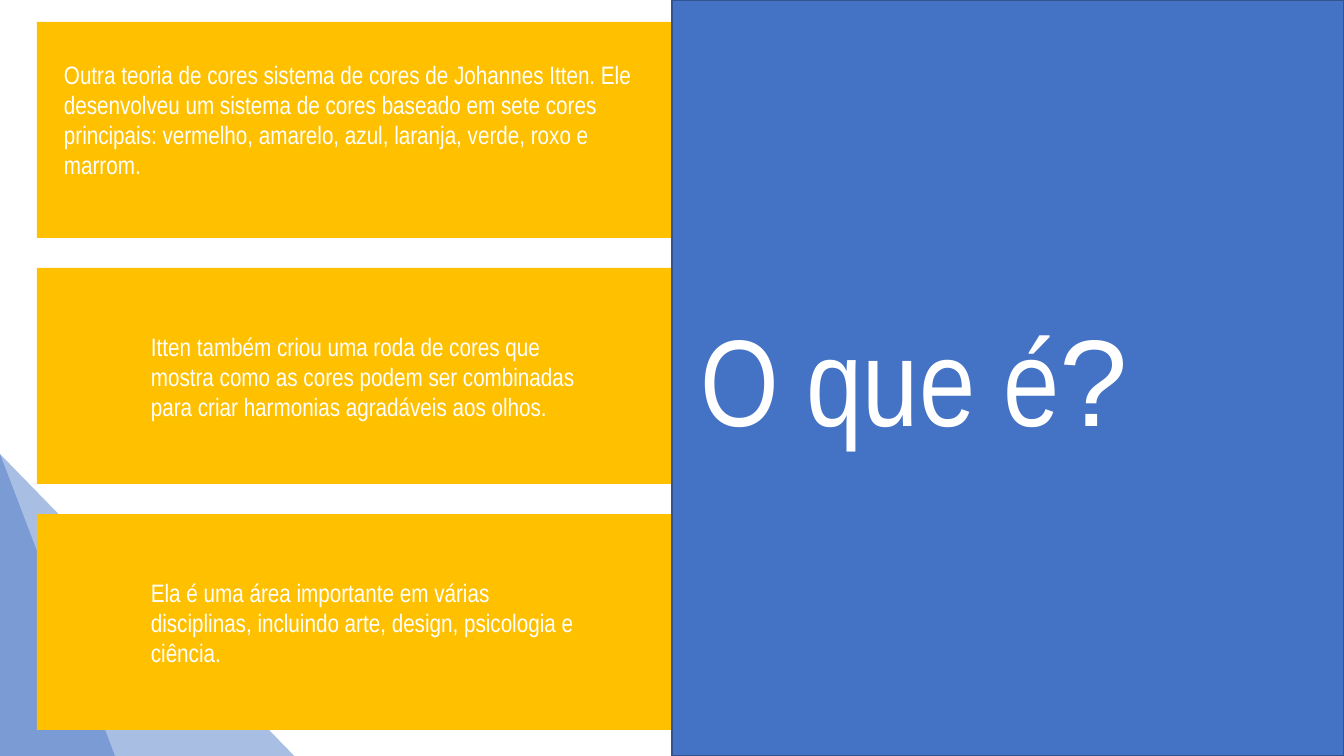
"""Build a slide on Itten's colour system with three text bars and a title panel."""
import dataclasses

import lxml.etree
import pptx
import pptx.dml.color
import pptx.enum.shapes
import pptx.enum.text
import pptx.oxml.ns
import pptx.util

KIND = pptx.enum.shapes.MSO_SHAPE
SCALE = 914400 / 100.8


@dataclasses.dataclass(frozen=True)
class Theme:
    """Colours, fonts and type sizes."""
    blue: str = "4472C4"
    edge: str = "325491"
    gold: str = "FFC000"
    white: str = "FFFFFF"
    narrow: str = "Arial Narrow"
    wide: str = "Arial"
    body: int = 18
    head: int = 88
    alpha: int = 46


THEME = Theme()

TEXTS = [
    (54, 32, 618,
     "Outra teoria de cores sistema de cores de Johannes Itten. Ele "
     "desenvolveu um sistema de cores baseado em sete cores principais: "
     "vermelho, amarelo, azul, laranja, verde, roxo e marrom."),
    (141, 58, 451,
     "Itten também criou uma roda de cores que mostra como as cores podem "
     "ser combinadas para criar harmonias agradáveis aos olhos."),
    (141, 58, 451,
     "Ela é uma área importante em várias disciplinas, incluindo arte, "
     "design, psicologia e ciência."),
]


def px(num):
    """Turn pixels into EMU."""
    return pptx.util.Emu(round(num * SCALE))


def tint(code):
    """Turn a hex code into a colour."""
    return pptx.dml.color.RGBColor.from_string(code)


def add_block(slide, kind, box, fill, line=None, alpha=None):
    """Add a filled shape, with an edge or see-through fill if asked."""
    shape = slide.shapes.add_shape(kind, *map(px, box))
    shape.shadow.inherit = False
    shape.fill.solid()
    shape.fill.fore_color.rgb = tint(fill)
    if alpha:
        qn = pptx.oxml.ns.qn
        node = next(shape.element.iter(qn("a:srgbClr")))
        mark = lxml.etree.SubElement(node, qn("a:alpha"))
        mark.set("val", str(alpha * 1000))
    if line:
        shape.line.color.rgb = tint(line)
        shape.line.width = pptx.util.Pt(1)
    else:
        shape.line.fill.background()


def style_run(run, size, face):
    """Set a run's size and face in white."""
    run.font.size = pptx.util.Pt(size)
    run.font.name = face
    run.font.color.rgb = tint(THEME.white)


def set_frame(frame):
    """Make a frame wrap, grow and start at its top left."""
    frame.word_wrap = True
    frame.auto_size = pptx.enum.text.MSO_AUTO_SIZE.SHAPE_TO_FIT_TEXT
    frame.vertical_anchor = pptx.enum.text.MSO_ANCHOR.TOP
    frame.paragraphs[0].alignment = pptx.enum.text.PP_ALIGN.LEFT
    frame.paragraphs[0].line_spacing = 1.0


def add_text(slide, box, text):
    """Add a body text box."""
    frame = slide.shapes.add_textbox(*map(px, box)).text_frame
    frame.text = text
    set_frame(frame)
    style_run(frame.paragraphs[0].runs[0], THEME.body, THEME.narrow)


def set_title(slide, box):
    """Place the title in front of its panel and style it."""
    title = slide.shapes.title
    title.left, title.top, title.width, title.height = map(px, box)
    slide.shapes.element.append(title.element)
    frame = title.text_frame
    frame.text = "O que é"
    mark = frame.paragraphs[0].add_run()
    mark.text = "?"
    set_frame(frame)
    for run, face in zip(frame.paragraphs[0].runs, (THEME.narrow, THEME.wide)):
        style_run(run, THEME.head, face)


def main():
    """Build and save the deck."""
    deck = pptx.Presentation()
    deck.slide_width, deck.slide_height = px(1344), px(756)
    slide = deck.slides.add_slide(deck.slide_layouts[5])
    for half, high in ((115, 302), (347, 356)):
        add_block(slide, KIND.ISOSCELES_TRIANGLE,
                  (-half, 454, 2 * half, high), THEME.blue, alpha=THEME.alpha)
    for row, (left, drop, width, text) in enumerate(TEXTS):
        top = 22 + 246 * row
        add_block(slide, KIND.RECTANGLE, (37, top, 800, 216), THEME.gold)
        add_text(slide, (left, top + drop, width, 102), text)
    add_block(slide, KIND.RECTANGLE, (672, 0, 672, 756), THEME.blue, THEME.edge)
    set_title(slide, (690, 298, 635, 159))
    deck.save("out.pptx")


main()
